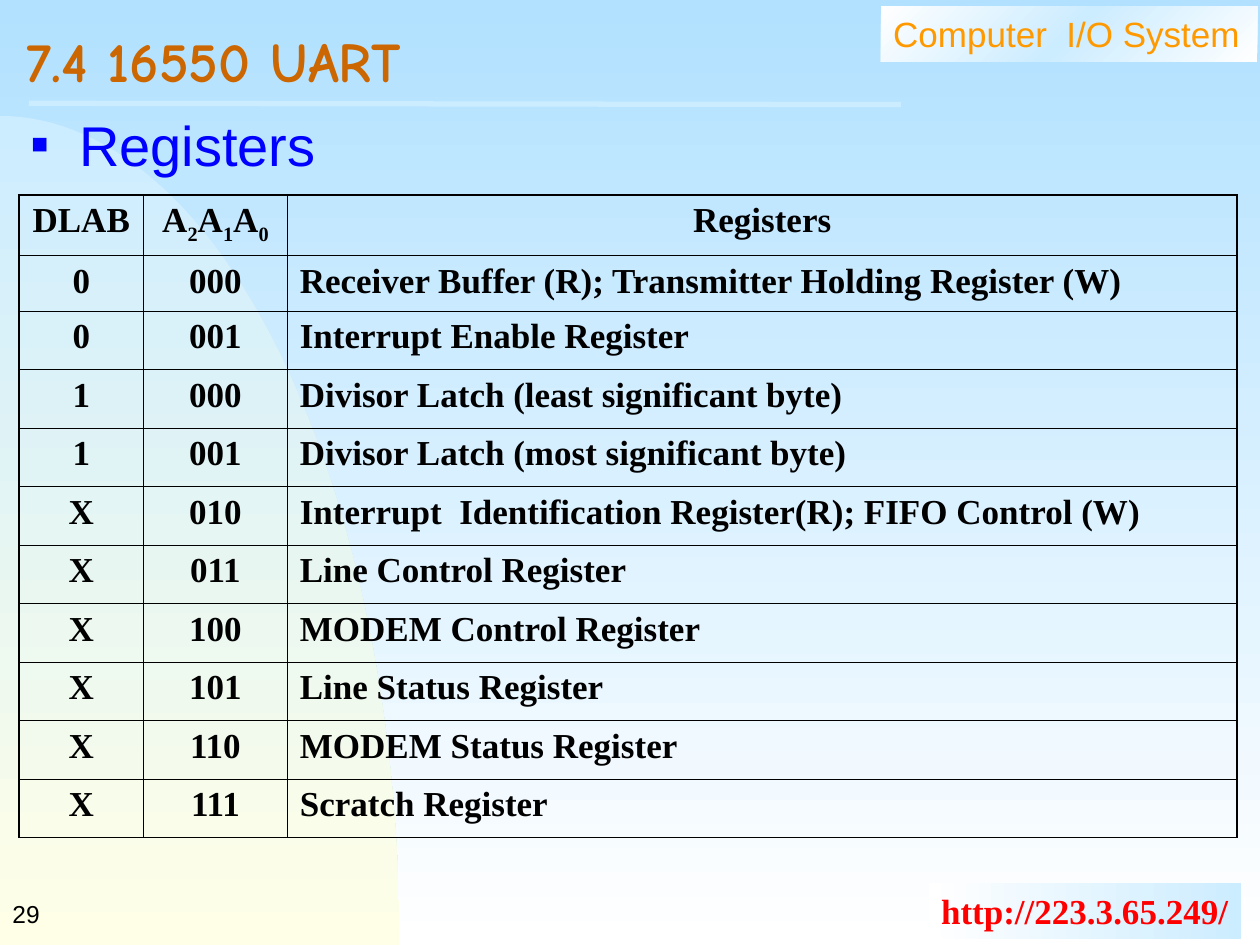
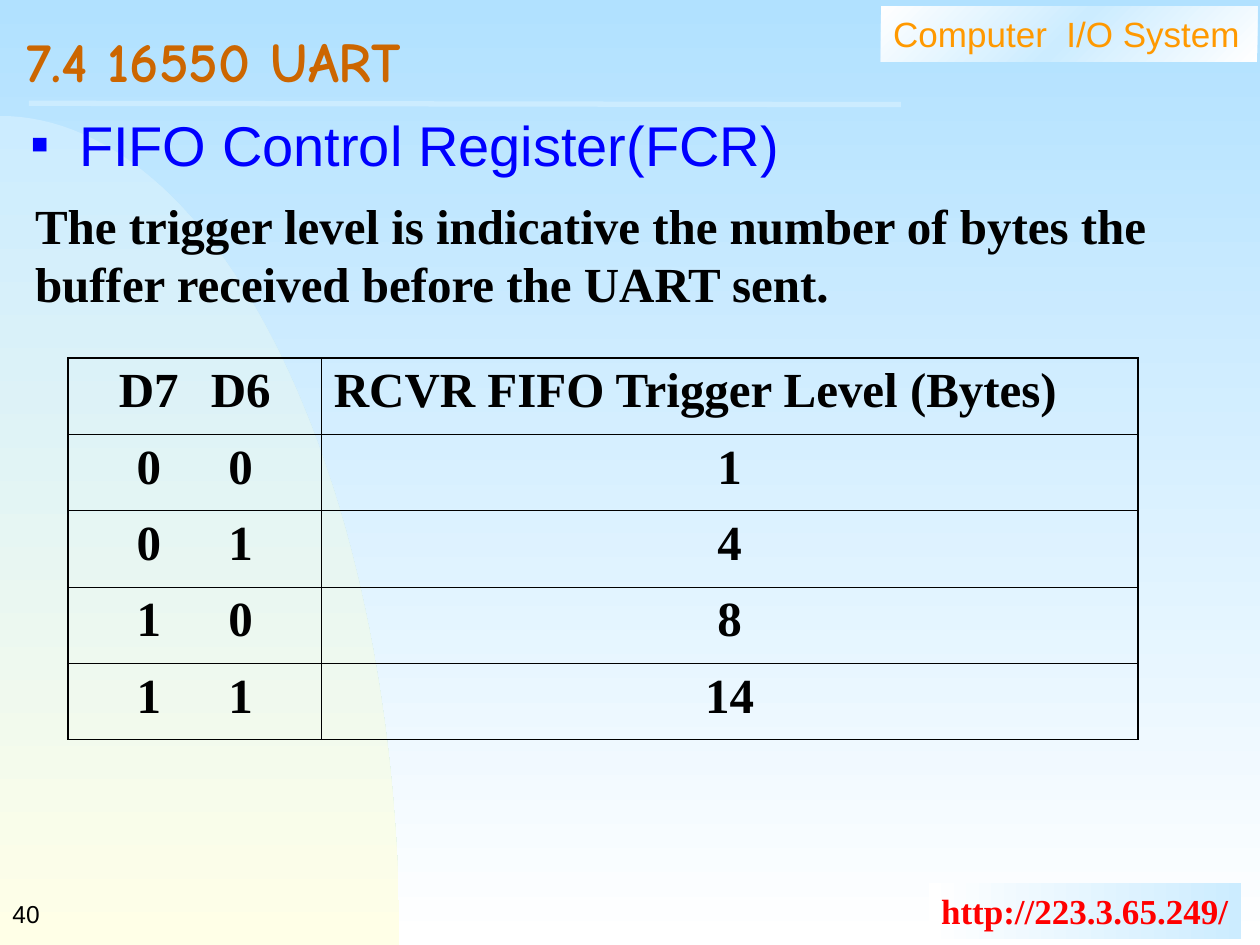
from copy import deepcopy
from dataclasses import dataclass
from math import cos, pi, sin

from lxml import etree
from pptx import Presentation
from pptx.dml.color import RGBColor
from pptx.dml.fill import FillFormat
from pptx.enum.shapes import MSO_CONNECTOR, MSO_SHAPE
from pptx.enum.text import MSO_ANCHOR, PP_ALIGN
from pptx.oxml.ns import qn
from pptx.slide import Slide
from pptx.util import Inches, Pt

LEFT, CENTER = PP_ALIGN.LEFT, PP_ALIGN.CENTER
TOP, MIDDLE = MSO_ANCHOR.TOP, MSO_ANCHOR.MIDDLE
RECTANGLE, STRAIGHT = MSO_SHAPE.RECTANGLE, MSO_CONNECTOR.STRAIGHT

WHITE = RGBColor(0xFF, 0xFF, 0xFF)
BLACK = RGBColor(0x00, 0x00, 0x00)
SKY = RGBColor(0xB1, 0xE1, 0xFF)
PALE_BLUE = RGBColor(0xCC, 0xEC, 0xFF)
CREAM = RGBColor(0xFF, 0xFF, 0xE7)
ORANGE = RGBColor(0xFF, 0x99, 0x00)
BROWN = RGBColor(0xCC, 0x66, 0x00)
RED = RGBColor(0xFF, 0x00, 0x00)
BLUE = RGBColor(0x00, 0x00, 0xFF)

SANS, SERIF, HAND = "Arial", "Times New Roman", "Comic Neue"
PAGE_WIDTH, PAGE_HEIGHT = 10, 7.5
ARC_WIDTH, ARC_HEIGHT, ARC_STEPS = 3.17, 6.58, 60
INNER_BORDER, OUTER_BORDER = 0.45, 1.08


@dataclass(frozen=True)
class Span:
    text: str
    baseline: int = 0


@dataclass(frozen=True)
class Area:
    left: float
    top: float
    width: float
    height: float

    def lengths(self) -> list[int]:
        return [Inches(n) for n in (self.left, self.top, self.width, self.height)]


@dataclass(frozen=True)
class Band:
    area: Area
    colors: tuple[RGBColor, ...]
    angle: int
    text: str
    font: str
    color: RGBColor
    bold: bool
    wrap: bool


@dataclass(frozen=True)
class Grid:
    """Table whose rows after lead_heights share the remaining height equally."""
    area: Area
    columns: tuple[float, ...]
    size: int
    rows: tuple[tuple, ...]
    header_aligns: tuple[PP_ALIGN, ...]
    body_aligns: tuple[PP_ALIGN, ...]
    lead_heights: tuple[float, ...] = ()
    tab_centers: tuple[float, ...] = ()


BANDS = (
    Band(Area(6.99, 0.05, 2.99, 0.44), (WHITE, PALE_BLUE, WHITE), 45,
         "Computer  I/O System", SANS, ORANGE, False, True),
    Band(Area(7.37, 7.01, 2.48, 0.44), (WHITE, PALE_BLUE), 0,
         "http://223.3.65.249/", SERIF, RED, True, False),
)

ADDRESS_HEADER = tuple(
    span for digit in "210" for span in (Span("A"), Span(digit, -25000)))

REGISTER_GRID = Grid(
    Area(0.15, 1.55, 9.67, 5.1), (0.99, 1.14, 7.54), 20,
    (
        ("DLAB", ADDRESS_HEADER, "Registers"),
        ("0", "000", "Receiver Buffer (R); Transmitter Holding Register (W)"),
        ("0", "001", "Interrupt Enable Register"),
        ("1", "000", "Divisor Latch (least significant byte)"),
        ("1", "001", "Divisor Latch (most significant byte)"),
        ("X", "010", "Interrupt  Identification Register(R); FIFO Control (W)"),
        ("X", "011", "Line Control Register"),
        ("X", "100", "MODEM Control Register"),
        ("X", "101", "Line Status Register"),
        ("X", "110", "MODEM Status Register"),
        ("X", "111", "Scratch Register"),
    ),
    (CENTER, CENTER, CENTER), (CENTER, CENTER, LEFT), lead_heights=(0.48, 0.44))

TRIGGER_GRID = Grid(
    Area(0.54, 2.84, 8.49, 3.03), (2.01, 6.48), 28,
    (
        ("\tD7\tD6", "RCVR FIFO Trigger Level (Bytes)"),
        ("\t0\t0", "1"),
        ("\t0\t1", "4"),
        ("\t1\t0", "8"),
        ("\t1\t1", "14"),
    ),
    (LEFT, LEFT), (LEFT, CENTER), tab_centers=(0.54, 1.27))


def set_gradient(fill: FillFormat, colors: tuple[RGBColor, ...], angle: int) -> None:
    """Spread the colours evenly; the angle runs clockwise in degrees."""
    fill.gradient()
    fill.gradient_angle = (360 - angle) % 360
    stops = fill.gradient_stops
    for _ in colors[2:]:
        first = stops[0]._gs
        first.addnext(deepcopy(first))
    for index, color in enumerate(colors):
        stops[index].color.rgb = color
        stops[index].position = index / (len(colors) - 1)


def add_bullet(para, color: RGBColor) -> None:
    properties = para._p.get_or_add_pPr()
    properties.set("marL", str(Inches(0.38)))
    properties.set("indent", str(-Inches(0.38)))
    bullet_color = etree.SubElement(properties, qn("a:buClr"))
    etree.SubElement(bullet_color, qn("a:srgbClr"), val=str(color))
    etree.SubElement(properties, qn("a:buSzPct"), val="50000")
    etree.SubElement(properties, qn("a:buFont"), typeface=SANS)
    etree.SubElement(properties, qn("a:buChar"), char="■")


def add_center_tabs(para, positions: tuple[float, ...]) -> None:
    tabs = etree.SubElement(para._p.get_or_add_pPr(), qn("a:tabLst"))
    for position in positions:
        etree.SubElement(tabs, qn("a:tab"), pos=str(Inches(position)), algn="ctr")


def write_text(frame, text: str | tuple[Span, ...], *, size: int, font: str,
               color: RGBColor = BLACK, bold: bool = False,
               align: PP_ALIGN = LEFT, anchor: MSO_ANCHOR = TOP,
               wrap: bool = True, line_spacing: float | None = None,
               bullet: bool = False, tab_centers: tuple[float, ...] = ()) -> None:
    frame.word_wrap = wrap
    frame.vertical_anchor = anchor
    para = frame.paragraphs[0]
    para.alignment = align
    if line_spacing:
        para.line_spacing = line_spacing
    if bullet:
        add_bullet(para, color)
    if tab_centers:
        add_center_tabs(para, tab_centers)
    for part in (Span(text),) if isinstance(text, str) else text:
        span = para.add_run()
        span.text = part.text
        span.font.size = Pt(size)
        span.font.name = font
        span.font.bold = bold
        span.font.color.rgb = color
        if part.baseline:
            span._r.get_or_add_rPr().set("baseline", str(part.baseline))


def add_text(page: Slide, area: Area, text: str, **text_format) -> None:
    box = page.shapes.add_textbox(*area.lengths())
    write_text(box.text_frame, text, **text_format)


def add_corner_arc(page: Slide) -> None:
    """Quarter ellipse rising from the lower left corner of the page."""
    angles = [step / ARC_STEPS * pi / 2 for step in range(ARC_STEPS + 1)]
    points = [(Inches(ARC_WIDTH * sin(angle)),
               Inches(PAGE_HEIGHT - ARC_HEIGHT * cos(angle))) for angle in angles]
    builder = page.shapes.build_freeform(0, Inches(PAGE_HEIGHT))
    builder.add_line_segments(points, close=True)
    arc = builder.convert_to_shape()
    arc.shadow.inherit = False
    arc.line.fill.background()
    set_gradient(arc.fill, (PALE_BLUE, CREAM), 90)


def add_band(page: Slide, band: Band) -> None:
    box = page.shapes.add_shape(RECTANGLE, *band.area.lengths())
    box.shadow.inherit = False
    box.line.fill.background()
    set_gradient(box.fill, band.colors, band.angle)
    write_text(box.text_frame, band.text, size=20, font=band.font,
               color=band.color, bold=band.bold, wrap=band.wrap)


def add_title_rule(page: Slide) -> None:
    rule = page.shapes.add_connector(
        STRAIGHT, Inches(0.23), Inches(0.82), Inches(7.15), Inches(0.83))
    rule.line.color.rgb = PALE_BLUE
    rule.line.width = Pt(3)
    etree.SubElement(rule._element.spPr, qn("a:effectLst"))


def set_borders(cell, outer_sides: dict[str, bool]) -> None:
    properties = cell._tc.get_or_add_tcPr()
    for side, is_outer in outer_sides.items():
        width = Pt(OUTER_BORDER if is_outer else INNER_BORDER)
        border = etree.SubElement(properties, qn(f"a:ln{side}"), w=str(width))
        fill = etree.SubElement(border, qn("a:solidFill"))
        etree.SubElement(fill, qn("a:srgbClr"), val=str(BLACK))


def add_grid(page: Slide, grid: Grid) -> None:
    row_count, column_count = len(grid.rows), len(grid.columns)
    table = page.shapes.add_table(
        row_count, column_count, *grid.area.lengths()).table
    table.first_row = table.horz_banding = False
    for column, width in zip(table.columns, grid.columns):
        column.width = Inches(width)
    shared_count = row_count - len(grid.lead_heights)
    shared_height = (grid.area.height - sum(grid.lead_heights)) / shared_count
    heights = grid.lead_heights + (shared_height,) * shared_count
    for r, (texts, height) in enumerate(zip(grid.rows, heights)):
        table.rows[r].height = Inches(height)
        aligns = grid.body_aligns if r else grid.header_aligns
        for c, (text, align) in enumerate(zip(texts, aligns)):
            cell = table.cell(r, c)
            set_borders(cell, {"L": c == 0, "R": c == column_count - 1,
                               "T": r == 0, "B": r == row_count - 1})
            cell.fill.background()
            write_text(cell.text_frame, text, size=grid.size, font=SERIF,
                       bold=True, align=align,
                       tab_centers=() if c else grid.tab_centers)


def add_page(deck, number: int, heading: str) -> Slide:
    """Add a page with the shared background, bands, title and bullet heading."""
    page = deck.slides.add_slide(deck.slide_layouts[6])
    set_gradient(page.background.fill, (SKY, WHITE), 90)
    add_corner_arc(page)
    for band in BANDS:
        add_band(page, band)
    add_title_rule(page)
    add_text(page, Area(0, 7, 2.08, 0.5), str(number), size=14, font=SANS,
             anchor=MIDDLE)
    add_text(page, Area(0.11, 0.16, 9.55, 0.77), "7.4 16550 UART", size=32,
             font=HAND, color=BROWN, bold=True, anchor=MIDDLE, line_spacing=0.7)
    add_text(page, Area(0.15, 0.83, 9.6, 6.22), heading, size=32, font=SANS,
             color=BLUE, bullet=True)
    return page


def main() -> None:
    deck = Presentation()
    deck.slide_width, deck.slide_height = Inches(PAGE_WIDTH), Inches(PAGE_HEIGHT)

    registers = add_page(deck, 29, "Registers")
    add_grid(registers, REGISTER_GRID)

    fifo_control = add_page(deck, 40, "FIFO Control Register(FCR)")
    add_text(fifo_control, Area(0.18, 1.5, 9.54, 1.04),
             "The trigger level is indicative the number of bytes the "
             "buffer received before the UART sent.",
             size=28, font=SERIF, bold=True)
    add_grid(fifo_control, TRIGGER_GRID)

    deck.save("out.pptx")


if __name__ == "__main__":
    main()
